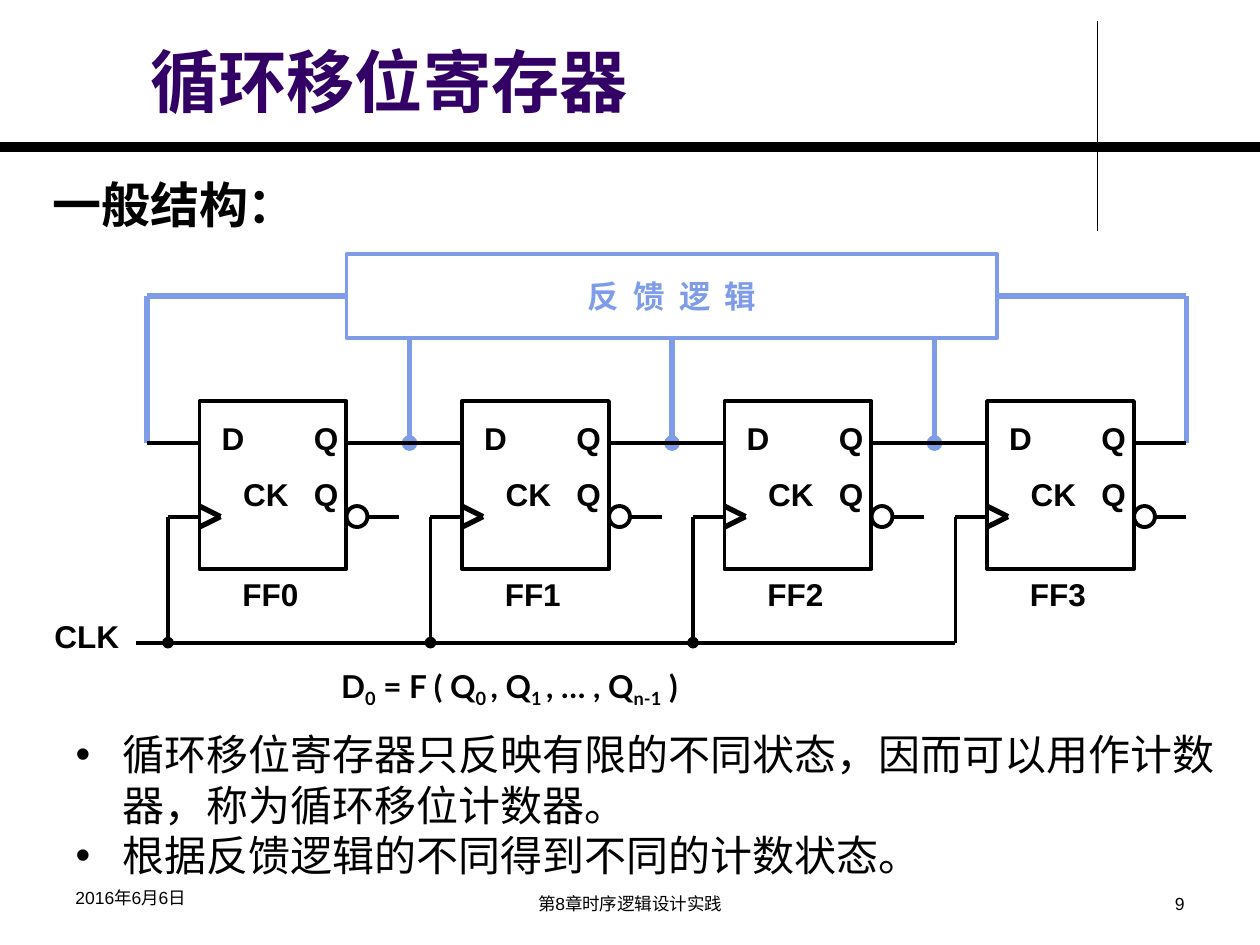
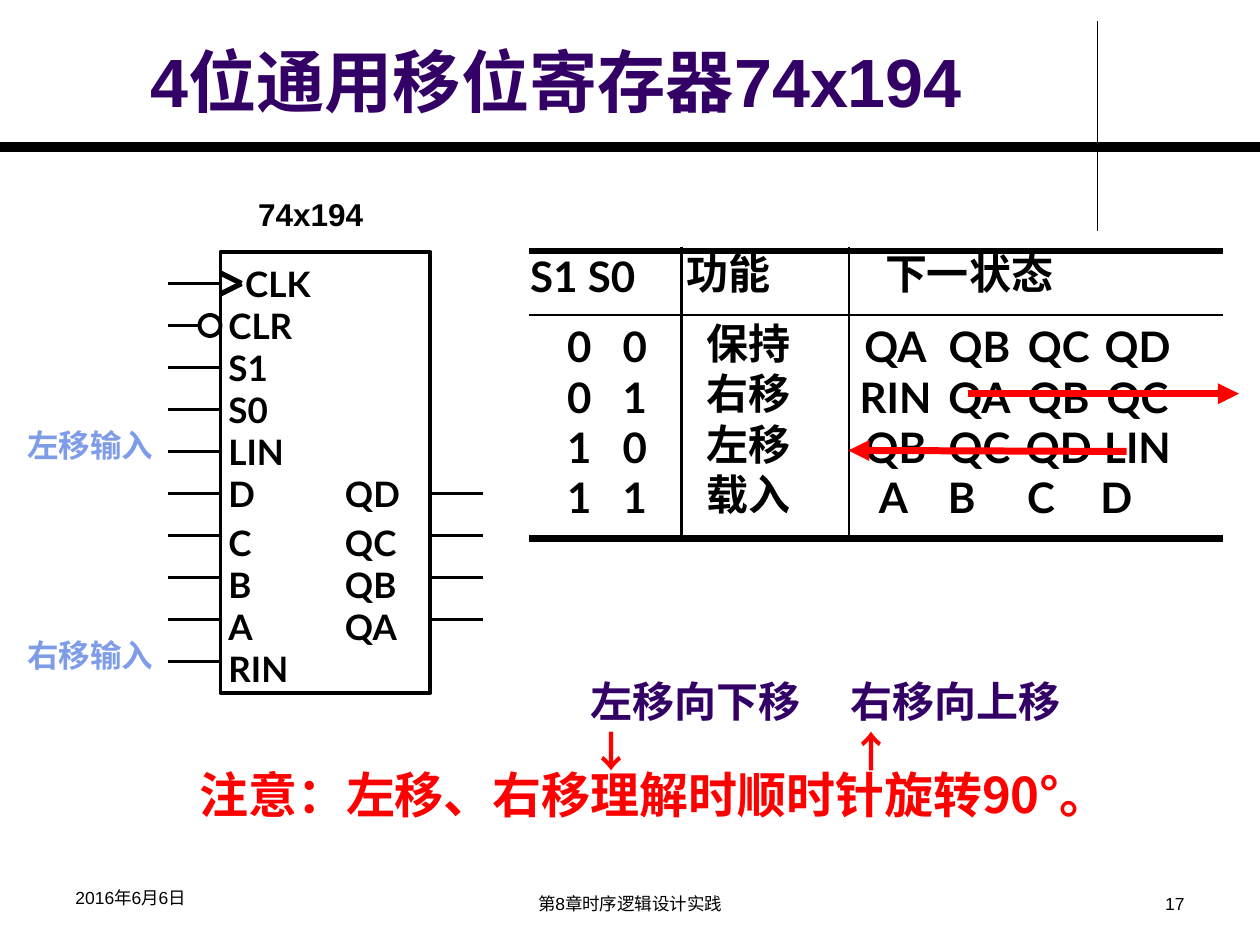
from dataclasses import dataclass
from typing import NamedTuple

from lxml.etree import SubElement
from pptx import Presentation
from pptx.dml.color import RGBColor
from pptx.enum.shapes import MSO_CONNECTOR, MSO_SHAPE
from pptx.enum.text import MSO_ANCHOR, MSO_AUTO_SIZE, PP_ALIGN
from pptx.oxml import parse_xml
from pptx.oxml.ns import nsdecls, qn
from pptx.util import Emu, Inches, Pt

BLACK, PURPLE, BLUE, RED = "000000", "330066", "7E9CE8", "FF0000"
CJK_FONT = "Noto Sans CJK SC"
TITLE_ONLY, TITLE_AND_BODY = 5, 1
COLS, ROWS = 120, 90  # the slide grid: twelve units to the inch


class Style(NamedTuple):
    size: float
    font: str = "Arial"
    color: str = BLACK
    bold: bool = True


class Run(NamedTuple):
    text: str
    color: str = ""
    baseline: int = 0
    spacing: int = 0
    font: str = ""


class Box(NamedTuple):
    x: float
    y: float
    w: float
    h: float


@dataclass
class Para:
    runs: list
    line_spacing: float = 0
    before: float = 0
    tabs: tuple = ()


LABEL = Style(18)
BLUE_LABEL = Style(18, color=BLUE)
TABLE_TEXT = Style(24, "Lato")
FOOTER = Style(10, bold=False)
FIXED_LINE = Pt(28.8)


def u(n):
    """Length of n grid units."""
    return Emu(round(n * Inches(10) / COLS))


def rgb(hex_color):
    return RGBColor.from_string(hex_color)


def write(tf, paras, style, align=PP_ALIGN.LEFT):
    """Fill a text frame; a paragraph is a string or a Para."""
    for i, para in enumerate(paras):
        if isinstance(para, str):
            para = Para([Run(para)])
        p = tf.add_paragraph() if i else tf.paragraphs[0]
        p.alignment = align
        p.space_before = Pt(para.before)
        if para.line_spacing:
            p.line_spacing = para.line_spacing
        if para.tabs:
            tab_list = SubElement(p._p.get_or_add_pPr(), qn("a:tabLst"))
            for stop in para.tabs:
                SubElement(tab_list, qn("a:tab"), pos=str(u(stop)), algn="l")
        for part in para.runs:
            r = p.add_run()
            r.text = part.text
            r.font.size, r.font.bold = Pt(style.size), style.bold
            r.font.name = part.font or style.font
            r.font.color.rgb = rgb(part.color or style.color)
            if part.baseline:
                r._r.get_or_add_rPr().set("baseline", str(part.baseline))
            if part.spacing:
                r._r.get_or_add_rPr().set("spc", str(part.spacing))


def place(sp, box):
    sp.left, sp.top, sp.width, sp.height = map(u, box)


def text(s, box, paras, style, align=PP_ALIGN.LEFT, wrap=False):
    tf = s.shapes.add_textbox(*map(u, box)).text_frame
    tf.word_wrap = wrap
    tf.auto_size = MSO_AUTO_SIZE.NONE if wrap else MSO_AUTO_SIZE.SHAPE_TO_FIT_TEXT
    write(tf, paras, style, align)


def line(s, x1, y1, x2, y2, color=BLACK, width=2.25, head="", tail=""):
    c = s.shapes.add_connector(MSO_CONNECTOR.STRAIGHT, u(x1), u(y1), u(x2), u(y2))
    c.line.color.rgb = rgb(color)
    c.line.width = Pt(width)
    ln = c.line._get_or_add_ln()
    for tag, kind in (("a:headEnd", head), ("a:tailEnd", tail)):
        if kind:
            SubElement(ln, qn(tag), type=kind)
    SubElement(c._element.spPr, qn("a:effectLst"))


def outline(s, kind, box, color=BLACK):
    """Unfilled preset shape with small text insets."""
    sp = s.shapes.add_shape(kind, *map(u, box))
    sp.shadow.inherit = False
    sp.fill.background()
    sp.line.color.rgb = rgb(color)
    sp.line.width = Pt(2.25)
    tf = sp.text_frame
    tf.word_wrap = True
    tf.vertical_anchor = MSO_ANCHOR.TOP
    tf.margin_left = tf.margin_right = u(0.75)
    tf.margin_top = tf.margin_bottom = u(0.6)
    return sp


def bubble(s, x, y):
    """Inversion circle whose left edge is at x, centred on y."""
    outline(s, MSO_SHAPE.OVAL, Box(x, y - 1, 2, 2))


def clock_wedge(s, x, y):
    line(s, x, y - 1, x + 2, y, width=3)
    line(s, x + 2, y, x, y + 1, width=3)


def new_slide(prs, layout, title, number):
    s = prs.slides.add_slide(prs.slide_layouts[layout])
    line(s, 104.5, 2, 104.5, 22, width=0.75)
    line(s, 0, 14, COLS, 14, width=6)
    place(s.shapes.title, Box(13.1, 2.4, 90.6, 9.7))
    tf = s.shapes.title.text_frame
    tf.vertical_anchor = MSO_ANCHOR.BOTTOM
    tf.auto_size = MSO_AUTO_SIZE.NONE
    write(tf, [title], Style(39, color=PURPLE))
    text(s, Box(6, 83.9, 28, 4), ["2016年6月6日"], FOOTER, wrap=True)
    text(s, Box(41, 84.5, 38, 3.5), ["第8章时序逻辑设计实践"], FOOTER, PP_ALIGN.CENTER, True)
    text(s, Box(86, 84.5, 28, 3.5), [number], FOOTER, PP_ALIGN.RIGHT, True)
    return s


FF_X, FF_STEP, FF_COUNT = 19, 25, 4
FF_TOP, FF_W, FF_H = 38.2, 14, 16
DATA_Y, CLOCK_Y, BUS_Y = FF_TOP + 4, FF_TOP + 11, FF_TOP + 23
FEEDBACK = Box(33, 24.2, 62, 8)
LEFT_WIRE, RIGHT_WIRE = 14, 113


def feedback_logic(s):
    mid, bottom = FEEDBACK.y + FEEDBACK.h / 2, FEEDBACK.y + FEEDBACK.h
    for outer, inner in ((LEFT_WIRE, FEEDBACK.x), (RIGHT_WIRE, FEEDBACK.x + FEEDBACK.w)):
        line(s, outer, DATA_Y, outer, mid, BLUE, 3)
        line(s, outer, mid, inner, mid, BLUE, 3)
    for i in range(FF_COUNT - 1):
        x = FF_X + FF_STEP * i + 20
        line(s, x, DATA_Y, x, bottom, BLUE, 3, head="oval")
    tf = outline(s, MSO_SHAPE.RECTANGLE, FEEDBACK, BLUE).text_frame
    tf.vertical_anchor = MSO_ANCHOR.MIDDLE
    write(tf, [Para([Run("反 馈 逻 辑", spacing=200)])], BLUE_LABEL, PP_ALIGN.CENTER)


def flip_flop(s, i):
    x, right = FF_X + FF_STEP * i, FF_X + FF_STEP * i + FF_W
    tf = outline(s, MSO_SHAPE.RECTANGLE, Box(x, FF_TOP, FF_W, FF_H)).text_frame
    tf.margin_right = 0
    write(tf, [Para([Run("\tD\tQ")], 1.3, tabs=(1.35, 10.15)),
               Para([Run("\tCK\tQ")], 1.5, tabs=(3.4, 10.15))], LABEL)
    clock_wedge(s, x, CLOCK_Y)
    line(s, x - 5, DATA_Y, x, DATA_Y)
    line(s, x - 3, CLOCK_Y, x, CLOCK_Y)
    line(s, right, DATA_Y, min(right + 6, RIGHT_WIRE), DATA_Y)
    line(s, right + 2, CLOCK_Y, right + 5, CLOCK_Y)
    bubble(s, right, CLOCK_Y)
    line(s, x - 3, CLOCK_Y, x - 3, BUS_Y, tail="oval" if i < FF_COUNT - 1 else "")
    text(s, Box(x + 2.9, 54.2, 8.3, 6), [f"FF{i}"], LABEL)


def ring_register(prs):
    s = new_slide(prs, TITLE_AND_BODY, "循环移位寄存器", "9")
    text(s, Box(3.8, 16, 25.8, 6.8), ["一般结构："], Style(28))
    feedback_logic(s)
    for i in range(FF_COUNT):
        flip_flop(s, i)
    line(s, 13, BUS_Y, FF_X + FF_STEP * (FF_COUNT - 1) - 3, BUS_Y)
    text(s, Box(4, 58.2, 9.1, 6), ["CLK"], LABEL)

    pieces = ["D", "0", " = F ( Q", "0 ", ", Q", "1 ", ", … , Q", "n-1", " )"]
    formula = [Run(t, baseline=-25000 * (k % 2)) for k, t in enumerate(pieces)]
    text(s, Box(31.3, 62.9, 53.4, 6), [Para(formula)], Style(18, "Lato"))

    body = s.placeholders[1]
    place(body, Box(6, 68.8, 112.5, 15.7))
    body.text_frame.auto_size = MSO_AUTO_SIZE.NONE
    write(body.text_frame, ["循环移位寄存器只反映有限的不同状态，因而可以用作计数器，称为循环移位计数器。",
                            "根据反馈逻辑的不同得到不同的计数状态。"], Style(24, "Lato", bold=False))
    for p in body.text_frame.paragraphs:
        pPr = p._p.get_or_add_pPr()
        pPr.set("marL", str(u(4.5)))
        pPr.set("indent", str(-u(4.5)))
        SubElement(pPr, qn("a:buFont"), typeface="Arial")
        SubElement(pPr, qn("a:buChar"), char="•")


CHIP = Box(21, 24, 20, 42)
PINS = ["\tCLK", "CLR", "S1", "S0", "LIN", "D\tQD", "C\tQC", "B\tQB", "A\tQA", "RIN"]


def chip(s):
    tf = outline(s, MSO_SHAPE.RECTANGLE, CHIP).text_frame
    write(tf, [Para([Run(pin)], 1.1 if i == 0 else 0, 4 if pin == "C\tQC" else 0,
                    (1.6,) if i == 0 else (11.1,)) for i, pin in enumerate(PINS)],
          Style(20, "Lato"))
    right = CHIP.x + CHIP.w
    for i, pin in enumerate(PINS):
        y = CHIP.y + 3 + 4 * i
        line(s, CHIP.x - 5, y, CHIP.x - (2 if pin == "CLR" else 0), y)
        if "\tQ" in pin:
            line(s, right, y, right + 5, y)
    clock_wedge(s, CHIP.x, CHIP.y + 3)
    bubble(s, CHIP.x - 2, CHIP.y + 7)
    text(s, Box(23.4, 18, 15.8, 6), ["74x194"], LABEL)


WIDTHS = [8.6, 5.9, 16, 8.8, 7.2, 7.9, 11.7]
HEIGHTS = [6.1, 5.4, 4.8, 4.8, 6.3]
HEADER = ["S1 S0", "", "功能", "下一状态", "", "", ""]
HEADER_INSETS = [0.1, 0, 0.5, 3.4, 0, 0, 0]
BODY_INSETS = [3.6, 0.3, 2.4, 0, 0, 0, 0]
RIGHT_INSETS = [0, 0, 0, 0, 0, 0, 4.6]
LOAD_RIGHT_INSETS = [0, 0, 0, 0.4, 3.4, 3.4, 9]
MODES = [["0", "0", "保持", "QA", "QB", "QC", "QD"],
         ["0", "1", "右移", "RIN", "QA", "QB", "QC"],
         ["1", "0", "左移", "QB", "QC", "QD", "LIN"],
         ["1", "1", "载入", "A", "B", "C", "D"]]


def set_borders(cell, left, right, top, bottom):
    """Set border widths in points; zero hides a border."""
    tcPr = cell._tc.get_or_add_tcPr()
    for k, (side, width) in enumerate(zip("LRTB", (left, right, top, bottom))):
        fill = f'<a:solidFill><a:srgbClr val="{BLACK}"/></a:solidFill>' if width else "<a:noFill/>"
        tcPr.insert(k, parse_xml(
            f'<a:ln{side} {nsdecls("a")} w="{Pt(width)}">{fill}</a:ln{side}>'))


def function_table(s):
    last = len(HEIGHTS) - 1
    table = s.shapes.add_table(len(HEIGHTS), len(WIDTHS), u(50.4), u(23.9),
                               u(sum(WIDTHS)), u(sum(HEIGHTS))).table
    table.first_row = table.horz_banding = False
    for column, width in zip(table.columns, WIDTHS):
        column.width = u(width)
    for row, height in zip(table.rows, HEIGHTS):
        row.height = u(height)
    for i, values in enumerate([HEADER] + MODES):
        for j, value in enumerate(values):
            cell = table.cell(i, j)
            cell.fill.background()
            cell.margin_top = cell.margin_bottom = 0
            cell.margin_left = u((BODY_INSETS if i else HEADER_INSETS)[j])
            cell.margin_right = u((LOAD_RIGHT_INSETS if i == last else RIGHT_INSETS)[j])
            cell.vertical_anchor = MSO_ANCHOR.TOP if i in (0, last) else MSO_ANCHOR.BOTTOM
            set_borders(cell, 1.5 * (j in (2, 3)), 1.5 * (j in (1, 2)),
                        (4.5, 1.5, 0, 0, 0)[i], (1.5, 0, 0, 0, 4.5)[i])
            if value:
                write(cell.text_frame, [Para([Run(value)], FIXED_LINE)], TABLE_TEXT,
                      PP_ALIGN.CENTER if i and j > 2 else PP_ALIGN.LEFT)
    table.cell(0, 0).merge(table.cell(0, 1))
    table.cell(0, 3).merge(table.cell(0, 6))


def universal_register(prs):
    s = new_slide(prs, TITLE_ONLY, "4位通用移位寄存器74x194", "17")
    chip(s)
    for y, caption in ((40, "左移输入"), (60, "右移输入")):
        text(s, Box(1.4, y, 18.5, 6), [caption], BLUE_LABEL)
    function_table(s)
    line(s, 92.2, 37.5, 118, 37.5, RED, 4, tail="triangle")
    line(s, 80.8, 42.9, 107.3, 43, RED, 4, head="triangle")
    text(s, Box(17.8, 72.2, 92.4, 6.8), ["注意：左移、右移理解时顺时针旋转90°。"],
         Style(28, CJK_FONT, RED))
    for x, caption, arrow in ((55.1, "左移向下移", "↓"), (79.8, "右移向上移", "↑")):
        text(s, Box(x, 63.7, 24.7, 6.1),
             [caption, Para([Run(arrow, RED, font=CJK_FONT)], FIXED_LINE)],
             Style(24, color=PURPLE))


def main():
    prs = Presentation()
    prs.slide_width, prs.slide_height = u(COLS), u(ROWS)
    ring_register(prs)
    universal_register(prs)
    prs.save("out.pptx")


if __name__ == "__main__":
    main()
